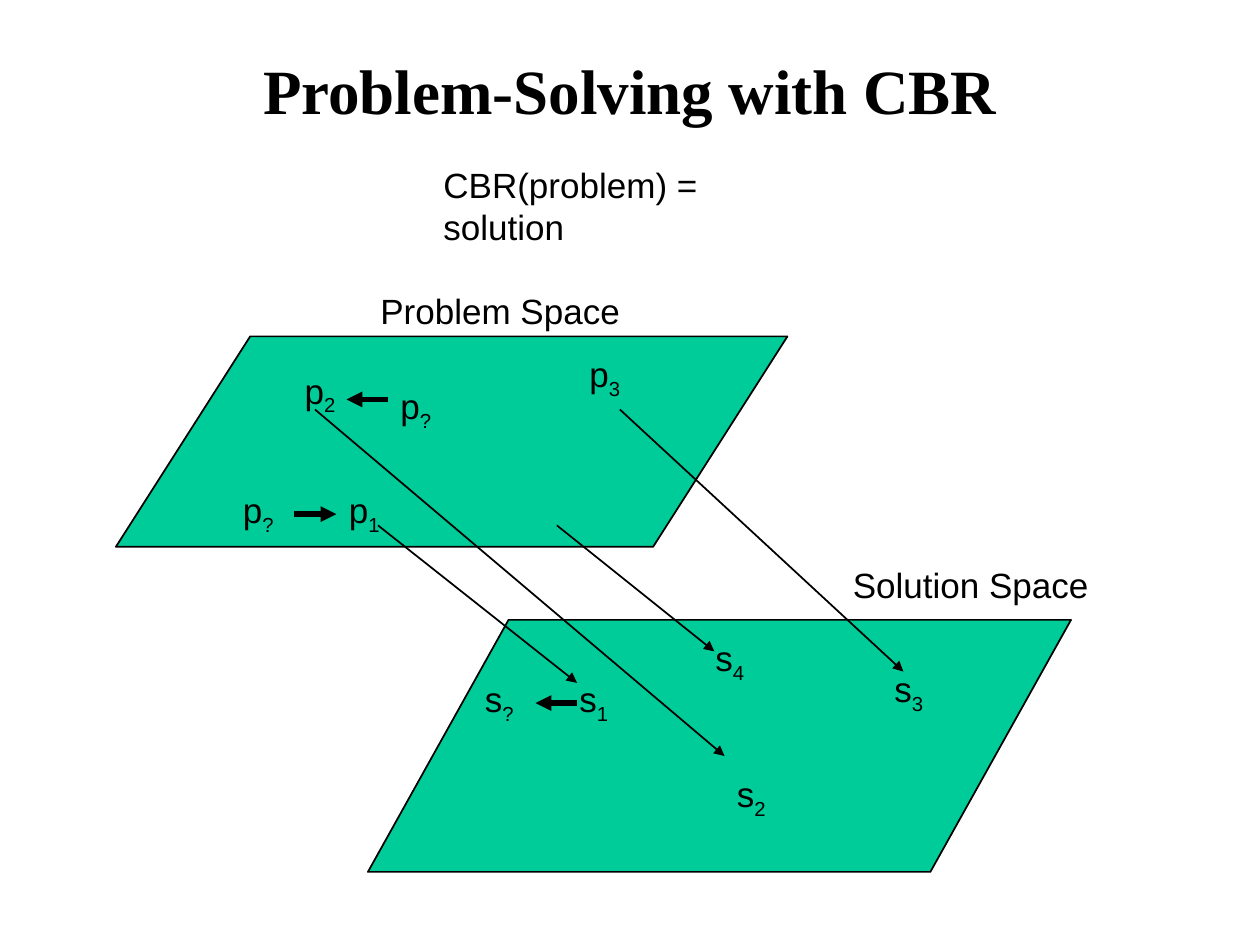
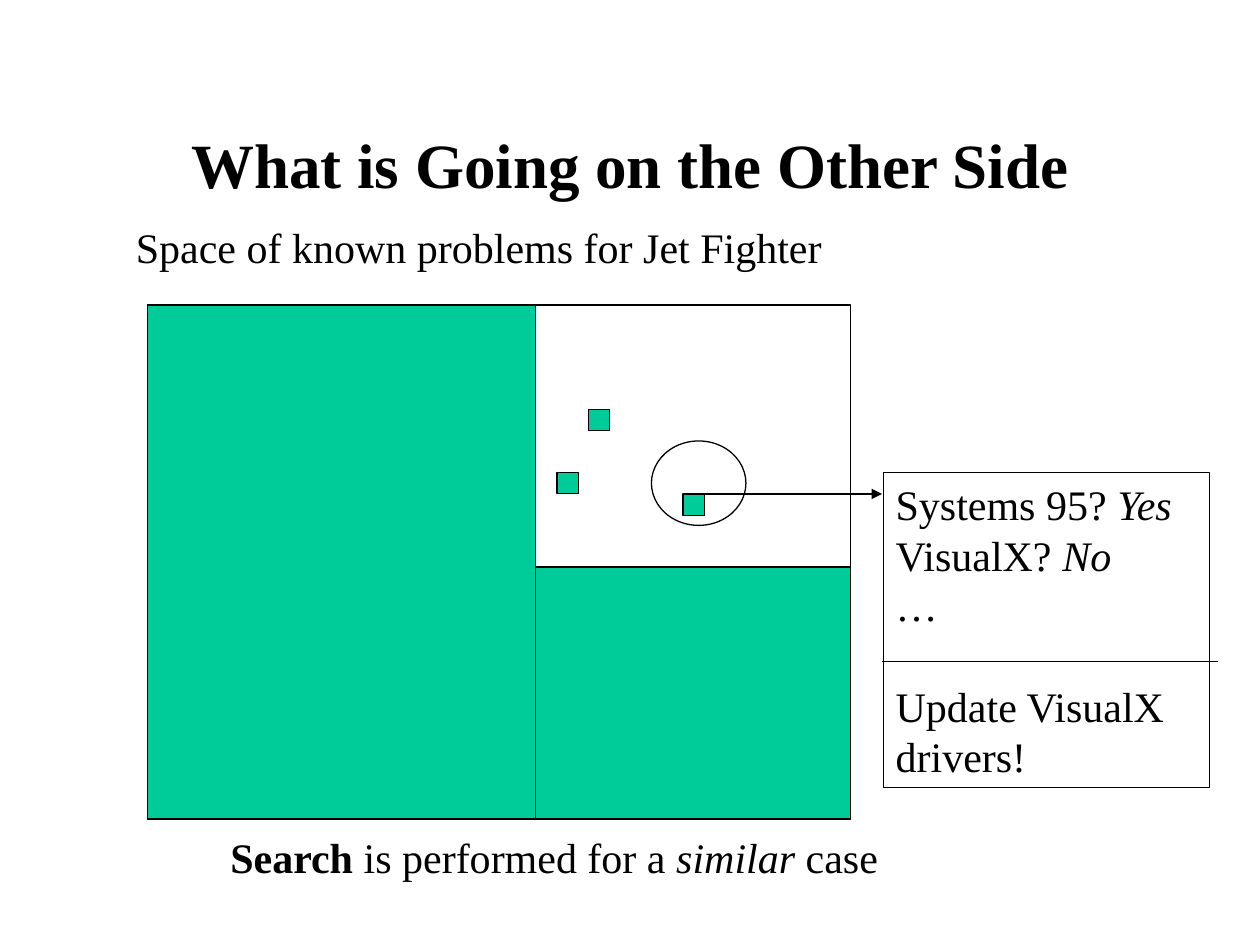
from dataclasses import dataclass
from lxml.etree import SubElement
from pptx import Presentation
from pptx.dml.color import RGBColor
from pptx.enum.shapes import MSO_CONNECTOR, MSO_SHAPE
from pptx.enum.text import MSO_ANCHOR, PP_ALIGN
from pptx.oxml.ns import qn
from pptx.util import Inches, Pt


@dataclass(frozen=True)
class Theme:
    ink: RGBColor = RGBColor(0, 0, 0)
    green: RGBColor = RGBColor(0x00, 0xCC, 0x99)
    serif: str = "Times New Roman"
    sans: str = "Arial"
    title: int = 36
    body: int = 24
    label: int = 20
    lead: float = 28.8
    thin: float = 0.75
    line: float = 1
    thick: float = 3


T = Theme()
HEAD = {"name": T.serif, "size": Pt(T.title), "bold": True}
BODY = {"name": T.serif, "size": Pt(T.body)}
LABEL = {"name": T.sans, "size": Pt(T.label)}
BOLD, ITAL = {"bold": True}, {"italic": True}
SUB = "-25000"

# Content of slide 1: lengths in inches
MAP_TITLE = "Problem-Solving with CBR"
PLANES = [(2.92, 4.92, 5.58, 2), (0.92, 2.67, 5.33, 1.67)]
NAMES = [
    ("CBR(problem) = solution", (3.42, 1.25, 3.25, 0.44)),
    ("Problem Space", (2.92, 2.25, 2.1, 0.44)),
    ("Solution Space", (6.67, 4.42, 2.07, 0.44)),
]
POINTS = [  # letter, index, left, top
    ("p", "1", 2.67, 3.83), ("p", "2", 2.32, 2.88), ("p", "3", 4.58, 2.75),
    ("s", "1", 4.5, 5.33), ("s", "2", 5.75, 6.08),
    ("s", "3", 7, 5.25), ("s", "4", 5.58, 5),
]
LINKS = [  # from problem to solution
    ((3, 4.17), (4.58, 5.42)), ((2.5, 3.25), (5.75, 6)),
    ((4.92, 3.25), (7.17, 5.33)), ((4.42, 4.17), (5.67, 5.17)),
]
QUERIES = [  # letter, left, top, arrow from, arrow to
    ("p", 3.08, 3, (3.08, 3.17), (2.75, 3.17)),
    ("p", 1.83, 3.83, (2.33, 4.08), (2.67, 4.08)),
    ("s", 3.75, 5.33, (4.58, 5.58), (4.25, 5.58)),
]

# Content of slide 2
CASE_TITLE = "What is Going on the Other Side"
KNOWN = "Space of known problems for Jet Fighter"
SEARCH = [("Search", BOLD), (" is performed for a ", {}),
          ("similar", ITAL), (" case", {})]
FACTS = [
    [("Systems 95? ", {}), ("Yes", ITAL)],
    [("VisualX? ", {}), ("No", ITAL)],
    [("…", {})],
]
ADVICE = [[("Update VisualX", {})], [("drivers!", {})]]
FIELD = (1.17, 2.42, 5.58, 4.08)
SPLIT = (4.25, 4.5)  # where the green blocks meet
CASES = [(4.42, 3.75), (4.67, 3.25), (5.42, 3.92)]
CASE = 0.17
RING = (5.17, 3.5, 0.75, 0.67)
CARD = (7.01, 3.75, 2.59, 2.5)
RULE = ((7, 5.25), (9.67, 5.25))
POINTER = ((5.58, 3.92), (7, 3.92))


def apply(obj, form):
    for key, val in form.items():
        setattr(obj, key, val)


def write(para, runs, form):
    for text, extra in runs:
        run = para.add_run()
        run.text = text
        apply(run.font, {**form, **extra})
        run.font.color.rgb = T.ink


def box(to, spot, runs, form, wrap=True, **frame):
    item = to.add_textbox(*map(Inches, spot))
    apply(item.text_frame, {"word_wrap": wrap, **frame})
    write(item.text_frame.paragraphs[0], runs, form)
    return item


def form(to, kind, spot, fill=None, width=T.thin):
    item = to.add_shape(kind, *map(Inches, spot))
    item.shadow.inherit = False
    if fill is None:
        item.fill.background()
    else:
        item.fill.solid()
        item.fill.fore_color.rgb = fill
    item.line.color.rgb = T.ink
    item.line.width = Pt(width)
    return item


def line(to, start, end, width=T.thin, arrow=True):
    item = to.add_connector(MSO_CONNECTOR.STRAIGHT, *map(Inches, start + end))
    item.line.color.rgb = T.ink
    item.line.width = Pt(width)
    if arrow:
        SubElement(item.line._get_or_add_ln(), qn("a:tailEnd"), type="triangle")
    SubElement(item._element.spPr, qn("a:effectLst"))


def point(to, letter, index, left, top):
    item = box(to, (left, top, 0.52, 0.48), [(letter, {}), (index, {})], LABEL)
    low = item.text_frame.paragraphs[0].runs[1]
    low.font._element.set("baseline", SUB)


def start(deck, title, top):
    to = deck.slides.add_slide(deck.slide_layouts[6]).shapes
    item = box(to, (0.75, top, 8.5, 1.25), [(title, {})], HEAD,
               vertical_anchor=MSO_ANCHOR.MIDDLE)
    item.text_frame.paragraphs[0].alignment = PP_ALIGN.CENTER
    return to


def draw_map(deck):
    to = start(deck, MAP_TITLE, 0.08)
    # Planes and their names
    for spot in PLANES:
        form(to, MSO_SHAPE.FLOWCHART_DATA, spot, T.green, T.line)
    for text, spot in NAMES:
        box(to, spot, [(text, {})], LABEL, wrap=False)
    # Known pairs
    for item in POINTS:
        point(to, *item)
    for ends in LINKS:
        line(to, *ends, width=T.line)
    # Open queries, each grouped with its arrow
    for letter, left, top, tail, tip in QUERIES:
        group = to.add_group_shape().shapes
        point(group, letter, "?", left, top)
        line(group, tail, tip, width=T.thick)


def draw_card(to):
    card = form(to, MSO_SHAPE.RECTANGLE, CARD)
    frame = card.text_frame
    apply(frame, {"word_wrap": True, "vertical_anchor": MSO_ANCHOR.TOP})
    for at, runs in enumerate(FACTS + ADVICE):
        para = frame.paragraphs[0] if at == 0 else frame.add_paragraph()
        apply(para, {"alignment": PP_ALIGN.LEFT, "line_spacing": Pt(T.lead)})
        if at == len(FACTS):
            para.space_before = Pt(T.lead)
        write(para, runs, BODY)
    line(to, *RULE, arrow=False)
    line(to, *POINTER)


def draw_case(deck):
    to = start(deck, CASE_TITLE, 0.67)
    # Field with its cases
    form(to, MSO_SHAPE.RECTANGLE, FIELD)
    for spot in CASES:
        form(to, MSO_SHAPE.RECTANGLE, spot + (CASE, CASE), T.green)
    draw_card(to.add_group_shape().shapes)
    # Green blocks fill the field left of and below the split
    left, top, wide, high = FIELD
    x, y = SPLIT
    for spot in [(left, top, x - left, high),
                 (x, y, left + wide - x, top + high - y)]:
        form(to, MSO_SHAPE.RECTANGLE, spot, T.green)
    form(to, MSO_SHAPE.OVAL, RING)
    # Captions
    box(to, (0.98, 1.71, 5.71, 0.5), [(KNOWN, {})], BODY)
    box(to, (1.73, 6.55, 5.34, 0.5), SEARCH, BODY, wrap=False)


def main():
    deck = Presentation()
    apply(deck, {"slide_width": Inches(10), "slide_height": Inches(7.5)})
    draw_map(deck)
    draw_case(deck)
    deck.save("out.pptx")


if __name__ == "__main__":
    main()
